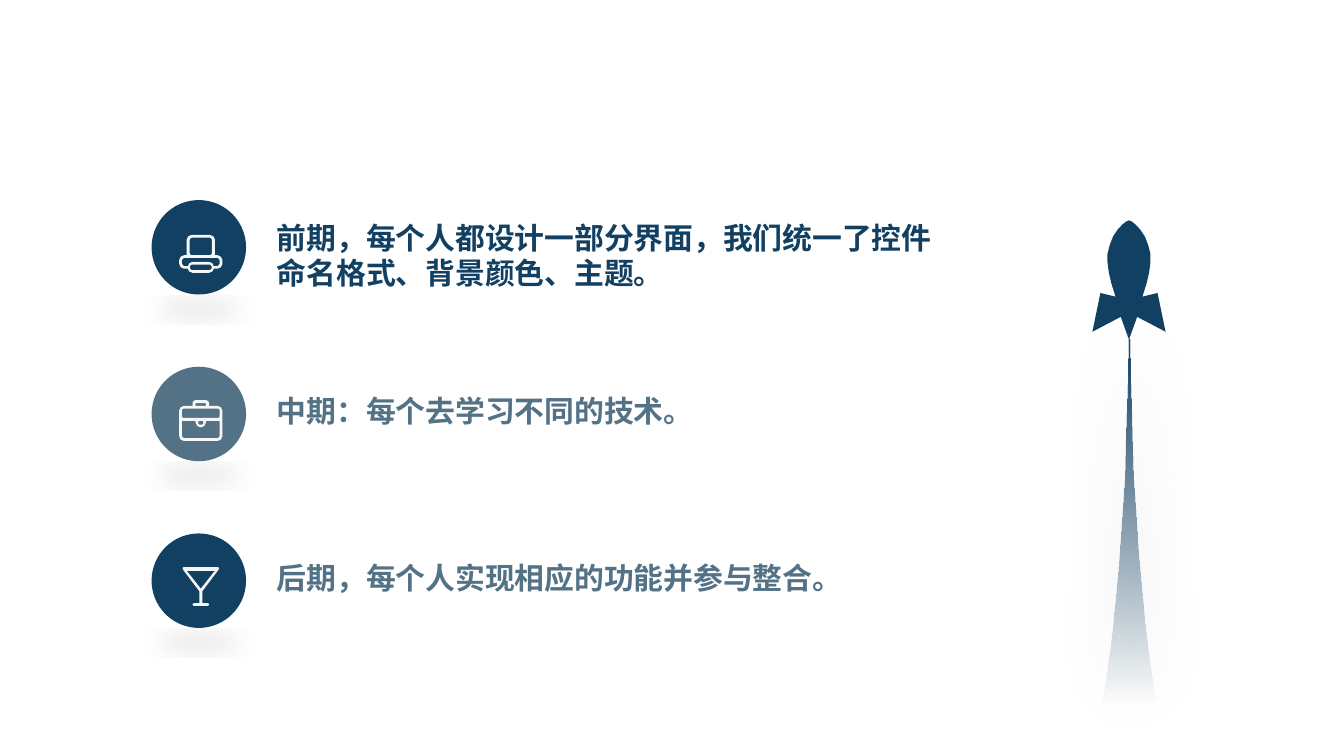
from math import cos, pi, sin

from lxml.etree import SubElement
from pptx import Presentation
from pptx.dml.color import RGBColor
from pptx.enum.shapes import MSO_SHAPE
from pptx.oxml.ns import qn
from pptx.util import Pt

NAVY, SLATE, ICON_WHITE = "124062", "537285", "F6F6F6"
FONT = "Noto Sans CJK SC"

# Rows: a disc with an icon, then a sentence
FIRST_TOP, ROW_PITCH = 107.2, 89.3
DISC_LEFT, DISC_SIZE = 81.2, 50.6
ICON_CENTER = 107.6
TEXT_LEFT = 143.3


def color(value):
    return RGBColor.from_string(value)


def rounded_box(half_width, top, bottom, radius):
    """Right half of a rounded box, from top centre to bottom centre."""
    angles = [step * pi / 8 for step in range(5)]
    x = half_width - radius
    upper = [(x + radius * sin(a), top + radius * (1 - cos(a))) for a in angles]
    lower = [(x + radius * cos(a), bottom - radius * (1 - sin(a))) for a in angles]
    return [(0, top), *upper, *lower, (0, bottom)]


# Right halves of the symmetric outlines: (distance from the axis, y)
HAT = [
    [(0, 18.7), (5, 18.7), (6.8, 19.5), (7.6, 21.3), (7.6, 29.6), (9.1, 29.6),
     (10.8, 30.4), (11.6, 32.2), (11.6, 34.2), (10.8, 36), (9.1, 36.8),
     (7, 36.8), (6.2, 38.3), (4.4, 39), (0, 39)],
    rounded_box(5.9, 20.2, 29.6, 1.2),
    [(0, 31), (9.1, 31), (10.1, 32.2), (10.1, 34.2), (9.1, 35.4),
     (6.9, 35.4), (6.1, 33.8), (4.4, 33.2), (0, 33.2)],
    rounded_box(5.9, 34.6, 37.5, 1.4),
]
BRIEFCASE = [
    [(0, 17.9), (3, 17.9), (4, 18.4), (4.4, 19.5), (4.4, 20.9), (9.1, 20.9),
     (10.8, 21.7), (11.6, 23.4), (11.6, 37.2), (10.8, 39), (9.1, 39.7), (0, 39.7)],
    rounded_box(2.9, 19.5, 20.9, 0.5),
    rounded_box(10.1, 22.4, 27.4, 1),
    [(0, 32.5), (1.9, 31.7), (2.9, 29.6), (2.9, 28.9), (10.1, 28.9),
     (10.1, 37.2), (9.1, 38.2), (0, 38.2)],
    rounded_box(1.4, 28.9, 31, 0.9),
]
GLASS = [
    [(0, 18), (9.2, 18), (9.8, 18.6), (9.5, 19.5), (0.8, 31), (0.8, 37.4),
     (3.9, 37.4), (4.5, 38.1), (3.9, 38.8), (0, 38.8)],
    [(0, 20.1), (7.5, 20.1), (0, 29.6)],
]
ROCKET = [[
    (0, 118.1), (1.5, 118.7), (3.6, 120.4), (6, 123), (8.5, 126.7), (10.2, 131),
    (11.5, 136), (11.5, 140.5), (10.8, 146), (9.4, 152), (7.2, 159),
    (15.3, 157), (19.6, 177.8), (4.4, 169.8), (0, 182),
]]
TRAIL = [[
    (0.4, 182), (0.7, 202.3), (2.3, 255.6), (4.5, 290), (7.3, 321.8),
    (10.2, 348.7), (13.3, 370), (14.8, 377.3),
]]

ROWS = [
    ("前期，每个人都设计一部分界面，我们统一了控件命名格式、背景颜色、主题。",
     NAVY, NAVY, HAT, 113.8, 370, 44, True),
    ("中期：每个去学习不同的技术。",
     SLATE, SLATE, BRIEFCASE, 206.6, 237, 25.2, False),
    ("后期，每个人实现相应的功能并参与整合。",
     NAVY, SLATE, GLASS, 295.9, 317.5, 25.2, False),
]


def style_shape(shape, fill):
    shape.shadow.inherit = False
    shape.fill.solid()
    shape.fill.fore_color.rgb = color(fill)
    shape.line.fill.background()


def add_alpha(color_element, percent):
    SubElement(color_element, qn("a:alpha"), val=str(percent * 1000))


def add_shadow(shape, shade, alpha, blur, distance, angle, **scaling):
    effects = shape._element.spPr.find(qn("a:effectLst"))
    shadow = SubElement(
        effects, qn("a:outerShdw"), blurRad=str(Pt(blur)),
        dist=str(Pt(distance)), dir=str(angle * 60000), **scaling)
    add_alpha(SubElement(shadow, qn("a:srgbClr"), val=shade), alpha)


def add_disc(slide, top, fill):
    disc = slide.shapes.add_shape(
        MSO_SHAPE.OVAL, Pt(DISC_LEFT), Pt(top), Pt(DISC_SIZE), Pt(DISC_SIZE))
    style_shape(disc, fill)
    add_shadow(disc, "000000", 10, 14, 3, 90,
               sx="90000", sy="-19000", algn="b", rotWithShape="0")


def add_symmetric(shapes, outlines, center, top, fill):
    """Mirror each half outline about the axis; later outlines are holes."""
    builder = None
    for half in outlines:
        sides = half + [(-x, y) for x, y in reversed(half)]
        points = [(Pt(center + x), Pt(top + y)) for x, y in sides]
        if builder is None:
            builder = shapes.build_freeform(*points[0])
        else:
            builder.move_to(*points[0])
        builder.add_line_segments(points[1:], close=True)
    shape = builder.convert_to_shape()
    style_shape(shape, fill)
    return shape


def add_sentence(slide, text, fill, top, width, height, wrap):
    box = slide.shapes.add_textbox(Pt(TEXT_LEFT), Pt(top), Pt(width), Pt(height))
    frame = box.text_frame
    frame_format = {
        "word_wrap": wrap, "margin_left": Pt(5), "margin_right": Pt(5),
        "margin_top": Pt(4.4), "margin_bottom": Pt(2.9),
    }
    for name, value in frame_format.items():
        setattr(frame, name, value)
    paragraph = frame.paragraphs[0]
    paragraph.line_spacing = Pt(18.8)
    run = paragraph.add_run()
    run.text = text
    for name, value in {"size": Pt(16), "bold": True, "name": FONT}.items():
        setattr(run.font, name, value)
    run.font.color.rgb = color(fill)
    SubElement(run._r.get_or_add_rPr(), qn("a:ea"), typeface=FONT)


def add_rocket(slide):
    shapes = slide.shapes.add_group_shape().shapes
    add_symmetric(shapes, ROCKET, 604.8, 0, NAVY)
    trail = add_symmetric(shapes, TRAIL, 604.8, 0, NAVY)
    # The trail fades out downwards
    trail.fill.gradient()
    trail.fill.gradient_angle = 90
    for stop in trail.fill.gradient_stops:
        stop.color.rgb = color(NAVY)
    gradient = trail._element.spPr.find(qn("a:gradFill"))
    add_alpha(next(gradient.iter(qn("a:srgbClr"))), 0)
    add_shadow(trail, "808080", 40, 33, 2, 45)


def main():
    presentation = Presentation()
    presentation.slide_width, presentation.slide_height = Pt(720), Pt(405)
    slide = presentation.slides.add_slide(presentation.slide_layouts[6])

    # Three stages
    for index, row in enumerate(ROWS):
        text, disc_fill, text_fill, icon, text_top, width, height, wrap = row
        top = FIRST_TOP + index * ROW_PITCH
        add_disc(slide, top, disc_fill)
        add_symmetric(slide.shapes, icon, ICON_CENTER, top, ICON_WHITE)
        add_sentence(slide, text, text_fill, text_top, width, height, wrap)

    # Rocket on the right
    add_rocket(slide)
    presentation.save("out.pptx")


if __name__ == "__main__":
    main()
